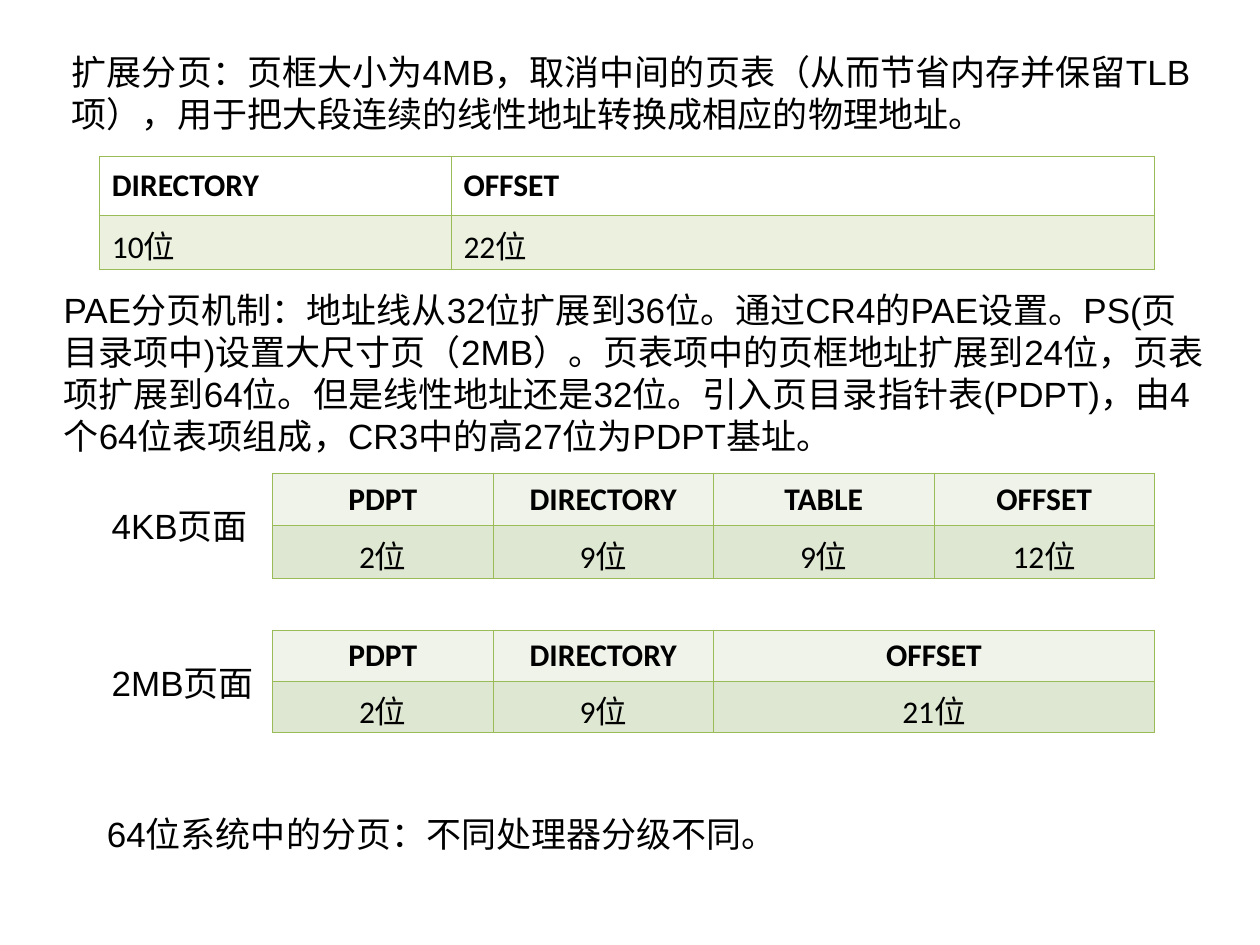
from lxml.etree import SubElement
from pptx import Presentation
from pptx.dml.color import RGBColor
from pptx.enum.text import MSO_ANCHOR as Anchor, MSO_AUTO_SIZE as AutoSize, PP_ALIGN as Align
from pptx.oxml.ns import qn
from pptx.util import Pt

BLACK = RGBColor(0x00, 0x00, 0x00)
GREEN = RGBColor(0x9B, 0xBB, 0x59)
PALE_GREEN = RGBColor(0xEB, 0xF1, 0xDE)
HEADER_TINT = RGBColor(0xEF, 0xF3, 0xEA)
BODY_TINT = RGBColor(0xDE, 0xE7, 0xD1)

PROSE_FONT = {"name": "Arial", "size": Pt(20), "bold": False}
HEADER_FONT = {"name": "Calibri", "size": Pt(18), "bold": True}
BITS_FONT = HEADER_FONT | {"bold": False}

EXTENDED_PAGING = "扩展分页：页框大小为4MB，取消中间的页表（从而节省内存并保留TLB项），用于把大段连续的线性地址转换成相应的物理地址。"
PAE_PAGING = (
    "PAE分页机制：地址线从32位扩展到36位。通过CR4的PAE设置。"
    "PS(页目录项中)设置大尺寸页（2MB）。页表项中的页框地址扩展到24位，"
    "页表项扩展到64位。但是线性地址还是32位。引入页目录指针表(PDPT)，"
    "由4个64位表项组成，CR3中的高27位为PDPT基址。"
)
PAGING_64 = "64位系统中的分页：不同处理器分级不同。"


def write(frame, text, font_format):
    """Put black text with the given font format into a text frame."""
    frame.text = text
    font = frame.paragraphs[0].runs[0].font
    for attribute, value in font_format.items():
        setattr(font, attribute, value)
    font.color.rgb = BLACK


def add_prose(slide, text, left, top, width, height, wrap=True):
    """Add a text box that grows with its text."""
    box = slide.shapes.add_textbox(Pt(left), Pt(top), Pt(width), Pt(height))
    frame = box.text_frame
    frame.word_wrap = wrap
    frame.auto_size = AutoSize.SHAPE_TO_FIT_TEXT
    write(frame, text, PROSE_FONT)


def add_border(cell, side, width):
    """Draw one green edge of a table cell."""
    edge = SubElement(cell._tc.get_or_add_tcPr(), qn(f"a:ln{side}"), w=str(Pt(width)))
    fill = SubElement(edge, qn("a:solidFill"))
    SubElement(fill, qn("a:srgbClr"), val=str(GREEN))


def add_address_table(slide, fields, left, top, widths, heights, fills, align, divider=0.45):
    """Add a table with address field names above their bit counts."""
    frame = slide.shapes.add_table(
        2, len(fields), Pt(left), Pt(top), Pt(sum(widths)), Pt(sum(heights))
    )
    table = frame.table
    table.first_row = table.horz_banding = False
    for column, width in zip(table.columns, widths):
        column.width = Pt(width)
    rows = zip(zip(*fields), heights, fills, (HEADER_FONT, BITS_FONT), ("B", "T"))
    for row, (texts, height, fill, font_format, inner_side) in enumerate(rows):
        table.rows[row].height = Pt(height)
        for column, text in enumerate(texts):
            cell = table.cell(row, column)
            for side in "LRTB":
                add_border(cell, side, divider if side == inner_side else 0.45)
            if fill is None:
                cell.fill.background()
            else:
                cell.fill.solid()
                cell.fill.fore_color.rgb = fill
            cell.vertical_anchor = Anchor.MIDDLE
            write(cell.text_frame, text, font_format)
            cell.text_frame.paragraphs[0].alignment = align


def main():
    """Build the slide on extended, PAE and 64-bit paging."""
    deck = Presentation()
    deck.slide_width, deck.slide_height = Pt(720), Pt(540)
    slide = deck.slides.add_slide(deck.slide_layouts[6])

    add_prose(slide, EXTENDED_PAGING, 34, 25.3, 669, 55.7)
    add_address_table(
        slide, [("DIRECTORY", "10位"), ("OFFSET", "22位")], 56.7, 89.3,
        [201, 402], [33.8, 30.8], [None, PALE_GREEN], Align.LEFT, divider=0.96,
    )

    add_prose(slide, PAE_PAGING, 29.3, 161.5, 669, 104)
    shared_fields = [("PDPT", "2位"), ("DIRECTORY", "9位")]
    page_sizes = [
        ("4KB页面", [("TABLE", "9位"), ("OFFSET", "12位")], 270.3, 30, 93.6),
        ("2MB页面", [("OFFSET", "21位")], 360, 29.2, 97.2),
    ]
    for label, last_fields, top, row_height, label_width in page_sizes:
        last_width = 252 / len(last_fields)
        add_address_table(
            slide, shared_fields + last_fields, 155.7, top,
            [126, 126] + [last_width] * len(last_fields), [row_height] * 2,
            [HEADER_TINT, BODY_TINT], Align.CENTER,
        )
        add_prose(slide, label, 56.7, top + 14.6, label_width, 55.7)

    add_prose(slide, PAGING_64, 54, 460.8, 402, 31.5, wrap=False)
    deck.save("out.pptx")


if __name__ == "__main__":
    main()
